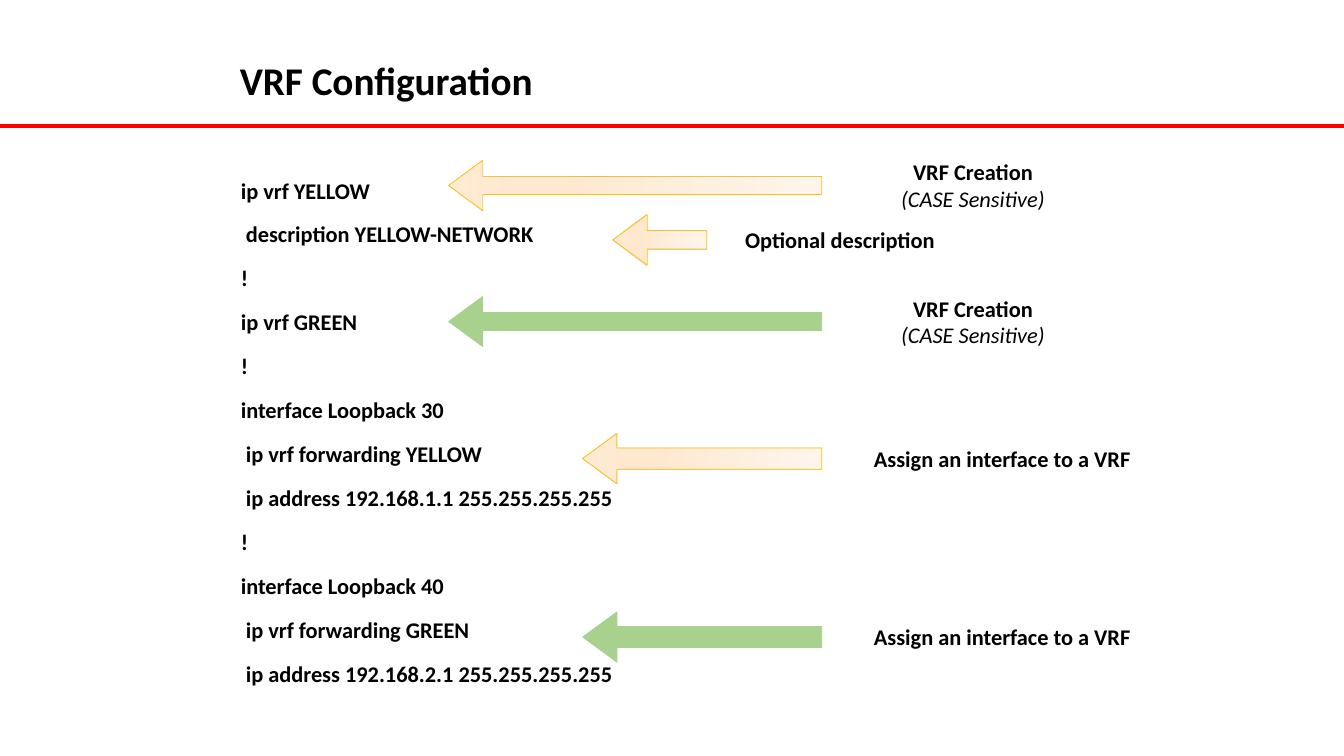
from lxml import etree
from pptx import Presentation
from pptx.dml.color import RGBColor
from pptx.enum.shapes import MSO_CONNECTOR, MSO_SHAPE
from pptx.enum.text import MSO_ANCHOR, PP_ALIGN
from pptx.oxml.ns import qn
from pptx.util import Inches, Pt

STRAIGHT = MSO_CONNECTOR.STRAIGHT
LEFT_ARROW = MSO_SHAPE.LEFT_ARROW
TOP, MIDDLE = MSO_ANCHOR.TOP, MSO_ANCHOR.MIDDLE
LEFT, CENTER = PP_ALIGN.LEFT, PP_ALIGN.CENTER

BLACK = RGBColor(0x00, 0x00, 0x00)
RED = RGBColor(0xFF, 0x00, 0x00)
GOLD = RGBColor(0xFF, 0xC0, 0x00)
GREEN = RGBColor(0xA9, 0xD1, 0x8E)
PEACH = RGBColor(0xFF, 0xE2, 0xBD)
LIGHT_PEACH = RGBColor(0xFF, 0xEA, 0xD1)
CREAM = RGBColor(0xFF, 0xF7, 0xEE)
PEACH_STOPS = [(0, PEACH, 64), (35, LIGHT_PEACH, 100), (100, CREAM, 100)]

CELL = 0.5
SLIDE_COLUMNS, SLIDE_ROWS = 26.66, 15
CAPTION_COLUMNS = 7.16

COMMANDS = [
    "ip vrf YELLOW",
    " description YELLOW-NETWORK",
    "!",
    "ip vrf GREEN",
    "!",
    "interface Loopback 30",
    " ip vrf forwarding YELLOW",
    " ip address 192.168.1.1 255.255.255.255",
    "!",
    "interface Loopback 40",
    " ip vrf forwarding GREEN",
    " ip address 192.168.2.1 255.255.255.255",
]
CREATION = ["VRF Creation", "(CASE Sensitive)"]
ASSIGNMENT = ["Assign an interface to a VRF"]
DESCRIPTION = ["Optional description"]

CALLOUTS = [
    (3.68, 8.9, 7.4, 0.36, GOLD, 15.72, CREATION),
    (9.1, 11.56, 4.74, 0.42, GOLD, 16.3, ASSIGNMENT),
    (4.76, 12.16, 1.86, 0.36, GOLD, 13.08, DESCRIPTION),
    (12.64, 11.56, 4.74, 0.42, GREEN, 16.3, ASSIGNMENT),
    (6.38, 8.9, 7.4, 0.36, GREEN, 15.72, CREATION),
]


def cells(count):
    """Turn a number of grid cells into a length."""
    return Inches(count * CELL)


class ConfigSlide:
    """Draw the elements of a configuration slide on a square grid."""

    font = "Calibri"
    body_size = 16
    title_size = 28

    def __init__(self, deck):
        """Add a blank slide to the deck."""
        self.shapes = deck.slides.add_slide(deck.slide_layouts[6]).shapes

    def text(self, lines, column, row, columns, rows, size=body_size,
             align=LEFT, anchor=TOP):
        """Write bold lines in a wrapped box and return their paragraphs."""
        frame = self.shapes.add_textbox(
            cells(column), cells(row), cells(columns), cells(rows)).text_frame
        frame.word_wrap = True
        frame.vertical_anchor = anchor
        frame.text = "\n".join(lines)
        for paragraph in frame.paragraphs:
            paragraph.alignment = align
            font = paragraph.runs[0].font
            font.name, font.size, font.bold = self.font, Pt(size), True
            font.color.rgb = BLACK
        return frame.paragraphs

    def title(self, wording):
        """Write the heading above the rule."""
        heading = self.text([wording], 4.56, 0.8, 20.26, 1.68,
                            self.title_size, anchor=MIDDLE)[0]
        heading.line_spacing = 0.9

    def rule(self, row):
        """Draw a red line across the slide."""
        line = self.shapes.add_connector(
            STRAIGHT, 0, cells(row), cells(SLIDE_COLUMNS), cells(row))
        line.line.color.rgb = RED
        line.line.width = Pt(3)
        etree.SubElement(line._element.spPr, qn("a:effectLst"))

    def code(self, commands):
        """List the commands with hanging indents."""
        for paragraph in self.text(commands, 4.58, 3.14, 13.54, 10.16):
            paragraph.line_spacing = 1.5
            paragraph.space_before = Pt(2.65)
            properties = paragraph._p.get_or_add_pPr()
            properties.set("marL", str(Inches(0.51)))
            properties.set("indent", str(-Inches(0.51)))

    def peach_fill(self, fill):
        """Apply the three-stop peach gradient."""
        fill.gradient()
        fill.gradient_angle = 0
        stops = fill._xPr.find(qn("a:gradFill")).find(qn("a:gsLst"))
        stops.clear()
        for position, color, opacity in PEACH_STOPS:
            stop = etree.SubElement(stops, qn("a:gs"), pos=str(position * 1000))
            tint = etree.SubElement(stop, qn("a:srgbClr"), val=str(color))
            if opacity < 100:
                etree.SubElement(tint, qn("a:alpha"), val=str(opacity * 1000))

    def arrow(self, center, column, columns, thickness, color):
        """Draw a left arrow centred on a row position."""
        arrow = self.shapes.add_shape(
            LEFT_ARROW, cells(column), cells(center - 0.5),
            cells(columns), cells(1))
        arrow.adjustments[0] = thickness
        arrow.adjustments[1] = 0.68
        arrow.shadow.inherit = False
        arrow.line.color.rgb = color
        arrow.line.width = Pt(0.5)
        if color == GOLD:
            self.peach_fill(arrow.fill)
        else:
            arrow.fill.solid()
            arrow.fill.fore_color.rgb = color

    def caption(self, center, column, lines):
        """Write a centred caption with any later line in italics."""
        rows = 0.2 + 0.54 * len(lines)
        paragraphs = self.text(lines, column, center - rows / 2,
                               CAPTION_COLUMNS, rows,
                               align=CENTER, anchor=MIDDLE)
        for paragraph in paragraphs[1:]:
            paragraph.runs[0].font.bold = False
            paragraph.runs[0].font.italic = True


def main():
    """Build and save the slide."""
    deck = Presentation()
    deck.slide_width = cells(SLIDE_COLUMNS)
    deck.slide_height = cells(SLIDE_ROWS)
    slide = ConfigSlide(deck)
    slide.rule(2.5)
    slide.title("VRF Configuration")
    slide.code(COMMANDS)
    for center, start, length, thickness, color, caption_start, lines in CALLOUTS:
        slide.arrow(center, start, length, thickness, color)
        slide.caption(center, caption_start, lines)
    deck.save("out.pptx")


if __name__ == "__main__":
    main()
